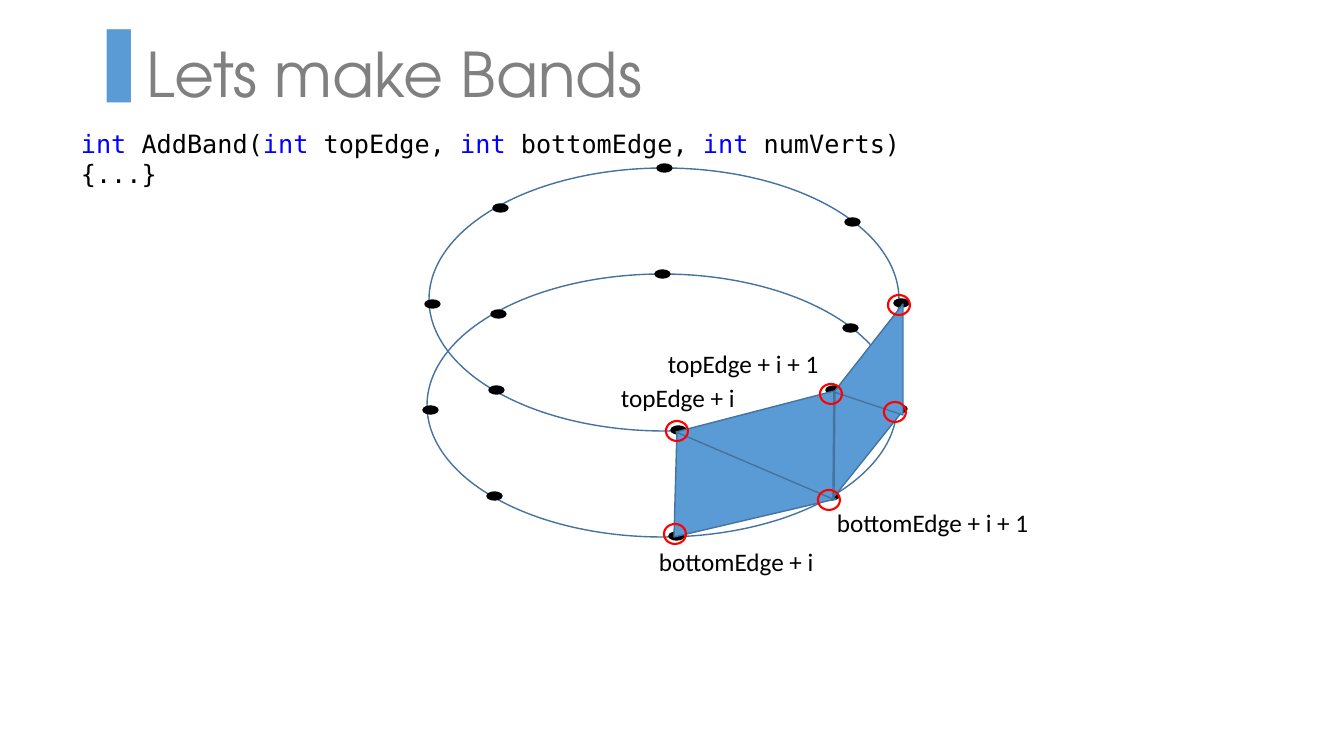
from lxml import etree
from pptx import Presentation
from pptx import util as u
from pptx.dml.color import RGBColor
from pptx.enum import shapes, text
from pptx.oxml.ns import qn

EMU_PER_PX = 914400 / 100.8
COLORS = {
    "accent": "5B9BD5",
    "outline": "43739E",
    "title": "808080",
    "black": "000000",
    "keyword": "0000FF",
    "mark": "FF0000",
}
RING_ORIGINS = [(429, 168), (427, 274)]
RING_SIZE = (470, 263)
DOT_SIZE = (15, 8)
DOT_OFFSETS = [
    (465, 131), (416, 50), (228, -4), (242, 258),
    (-4, 132), (64, 36), (60, 218), (397, 218),
]
BAND_TRIANGLES = [
    [(677, 432), (674, 537), (836, 499)],
    [(676, 432), (834, 391), (833, 499)],
    [(835, 392), (902, 412), (834, 497)],
    [(903, 304), (903, 415), (834, 392)],
]
MARK_SIZE = (22, 20)
MARKS = [(666, 421), (664, 524), (818, 490), (820, 384), (884, 402), (888, 295)]
LABELS = [
    ("topEdge + i", 611, 377, 136),
    ("topEdge + i + 1", 658, 343, 198),
    ("bottomEdge + i", 649, 541, 177),
    ("bottomEdge + i + 1", 827, 502, 268),
]
CODE = [
    ("int", "keyword"), (" AddBand(", "black"),
    ("int", "keyword"), (" topEdge, ", "black"),
    ("int", "keyword"), (" bottomEdge, ", "black"),
    ("int", "keyword"), (" numVerts) {...}", "black"),
]


def px(length):
    return u.Emu(round(length * EMU_PER_PX))


def color(name):
    return RGBColor.from_string(COLORS[name])


def write(paragraph, content, font="Calibri", size=18, fill="black"):
    run = paragraph.add_run()
    run.text = content
    run.font.name = font
    run.font.size = u.Pt(size)
    run.font.color.rgb = color(fill)


def paint(shape, fill=None, line="outline", width=1):
    shape.shadow.inherit = False
    if fill:
        shape.fill.solid()
        shape.fill.fore_color.rgb = color(fill)
    else:
        shape.fill.background()
    shape.line.color.rgb = color(line)
    shape.line.width = u.Pt(width)


def add_ellipse(container, position, size, **style):
    box = [px(length) for length in (*position, *size)]
    paint(container.add_shape(shapes.MSO_SHAPE.OVAL, *box), **style)


def add_ring(slide, origin):
    ring = slide.shapes.add_group_shape().shapes
    add_ellipse(ring, origin, RING_SIZE)
    for offset in DOT_OFFSETS:
        position = (origin[0] + offset[0], origin[1] + offset[1])
        add_ellipse(ring, position, DOT_SIZE, fill="black", line="black")


def add_triangle(slide, corners):
    builder = slide.shapes.build_freeform(*corners[0], scale=EMU_PER_PX)
    builder.add_line_segments(corners[1:], close=True)
    paint(builder.convert_to_shape(), fill="accent")


def add_text(slide, runs, left, top, width, **style):
    box = slide.shapes.add_textbox(px(left), px(top), px(width), px(40))
    box.text_frame.word_wrap = True
    for content, fill in runs:
        write(box.text_frame.paragraphs[0], content, fill=fill, **style)


def add_bullet(paragraph, character, fill, indent):
    properties = paragraph._p.get_or_add_pPr()
    properties.set("marL", str(px(indent)))
    properties.set("indent", str(-px(indent)))
    bullet_color = etree.SubElement(properties, qn("a:buClr"))
    etree.SubElement(bullet_color, qn("a:srgbClr"), val=COLORS[fill])
    etree.SubElement(properties, qn("a:buChar"), char=character)


def set_title(slide, content):
    title = slide.shapes.title
    title.left, title.top, title.width, title.height = map(px, (73, 31, 1211, 149))
    frame = title.text_frame
    frame.vertical_anchor = text.MSO_ANCHOR.TOP
    frame.auto_size = text.MSO_AUTO_SIZE.NONE
    paragraph = frame.paragraphs[0]
    paragraph.alignment = text.PP_ALIGN.LEFT
    add_bullet(paragraph, "▐", "accent", 63)
    write(paragraph, content, font="TeX Gyre Adventor", size=44, fill="title")


def main():
    presentation = Presentation()
    presentation.slide_width, presentation.slide_height = px(1344), px(756)
    slide = presentation.slides.add_slide(presentation.slide_layouts[5])
    set_title(slide, "Lets make Bands")
    for origin in RING_ORIGINS:
        add_ring(slide, origin)
    for content, left, top, width in LABELS:
        add_text(slide, [(content, "black")], left, top, width)
    for corners in BAND_TRIANGLES:
        add_triangle(slide, corners)
    for position in MARKS:
        add_ellipse(slide.shapes, position, MARK_SIZE, line="mark", width=1.5)
    add_text(slide, CODE, 71, 123, 858, font="DejaVu Sans Mono")
    presentation.save("out.pptx")


if __name__ == "__main__":
    main()
